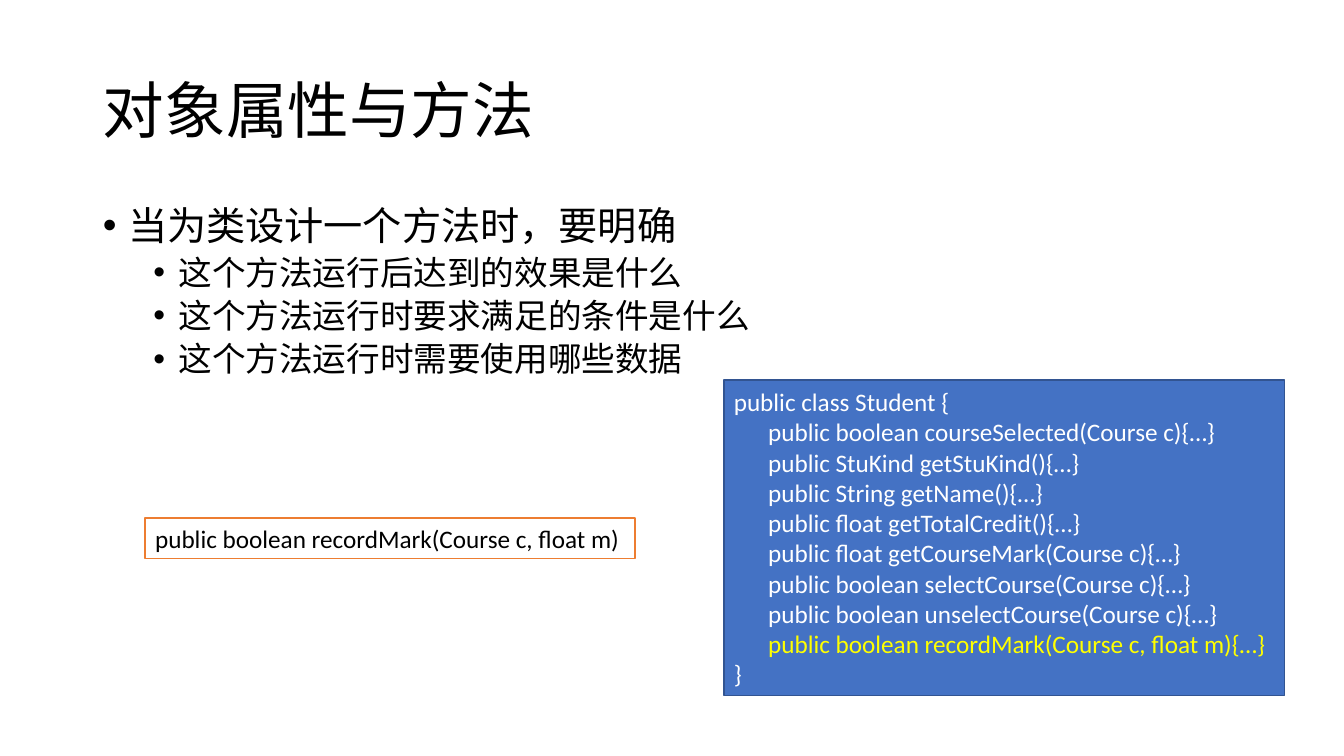
from lxml import etree
from pptx import Presentation
from pptx import util as u
from pptx.dml.color import RGBColor
from pptx.enum import shapes, text
from pptx.oxml import ns

COLORS = {
    "black": "000000",
    "white": "FFFFFF",
    "code_fill": "4472C4",
    "code_line": "325491",
    "highlight": "FFFF00",
    "signature_line": "ED7D31",
}
FONT = "Calibri"
TITLE = "对象属性与方法"
POINTS = [
    (0, "当为类设计一个方法时，要明确"),
    (1, "这个方法运行后达到的效果是什么"),
    (1, "这个方法运行时要求满足的条件是什么"),
    (1, "这个方法运行时需要使用哪些数据"),
]
LEVEL_STYLES = {0: (28, 10, 0.25), 1: (24, 5, 0.75)}
SIGNATURE = "public boolean recordMark(Course c, float m)"
METHODS = [
    "public boolean courseSelected(Course c){…}",
    "public StuKind getStuKind(){…}",
    "public String getName(){…}",
    "public float getTotalCredit(){…}",
    "public float getCourseMark(Course c){…}",
    "public boolean selectCourse(Course c){…}",
    "public boolean unselectCourse(Course c){…}",
    SIGNATURE + "{…}",
]


def color(name):
    return RGBColor.from_string(COLORS[name])


def place(shape, box):
    shape.left, shape.top, shape.width, shape.height = map(u.Inches, box)


def style_paragraph(para, size, color_name):
    para.alignment = text.PP_ALIGN.LEFT
    para.font.name = FONT
    para.font.size = u.Pt(size)
    para.font.color.rgb = color(color_name)


def set_indent(para, margin, hanging=0):
    properties = para._p.get_or_add_pPr()
    properties.set("marL", str(u.Inches(margin)))
    properties.set("indent", str(-u.Inches(hanging)))
    return properties


def fill_title(page, box):
    title = page.shapes.title
    place(title, box)
    title.text_frame.text = TITLE
    title.text_frame.vertical_anchor = text.MSO_ANCHOR.MIDDLE
    para = title.text_frame.paragraphs[0]
    style_paragraph(para, 44, "black")
    para.line_spacing = 0.9


def fill_points(page, box):
    body = page.placeholders[1]
    place(body, box)
    frame = body.text_frame
    frame.text = "\n".join(words for _, words in POINTS)
    for para, (level, _) in zip(frame.paragraphs, POINTS):
        size, space, margin = LEVEL_STYLES[level]
        para.level = level
        style_paragraph(para, size, "black")
        para.line_spacing = 0.9
        para.space_before = u.Pt(space)
        properties = set_indent(para, margin, 0.25)
        bullet_font = etree.SubElement(properties, ns.qn("a:buFont"))
        bullet_font.set("typeface", "Arial")
        bullet = etree.SubElement(properties, ns.qn("a:buChar"))
        bullet.set("char", "•")


def add_code_box(page, box, lines, fill, line, font_color):
    code = page.shapes.add_shape(
        shapes.MSO_SHAPE.RECTANGLE, *map(u.Inches, box))
    code.shadow.inherit = False
    code.fill.solid()
    code.fill.fore_color.rgb = color(fill)
    code.line.color.rgb = color(line)
    code.line.width = u.Pt(1)
    frame = code.text_frame
    frame.word_wrap = False
    frame.auto_size = text.MSO_AUTO_SIZE.SHAPE_TO_FIT_TEXT
    frame.text = "\n".join(lines)
    for para in frame.paragraphs:
        style_paragraph(para, 18, font_color)
    return frame.paragraphs


def add_class_listing(page, box):
    lines = ["public class Student {", *METHODS, "}"]
    paras = add_code_box(page, box, lines, "code_fill", "code_line", "white")
    for para in paras[1:-1]:
        set_indent(para, 0.34)
    paras[-2].font.color.rgb = color("highlight")


def add_signature(page, box):
    add_code_box(page, box, [SIGNATURE], "white", "signature_line", "black")


def main():
    deck = Presentation()
    deck.slide_width = u.Inches(13.33)
    deck.slide_height = u.Inches(7.5)
    page = deck.slides.add_slide(deck.slide_layouts[1])
    fill_title(page, (0.92, 0.4, 11.5, 1.45))
    fill_points(page, (0.92, 2, 11.5, 4.76))
    add_class_listing(page, (7.18, 3.77, 5.56, 3.13))
    add_signature(page, (1.44, 5.14, 4.86, 0.4))
    deck.save("out.pptx")


if __name__ == "__main__":
    main()
